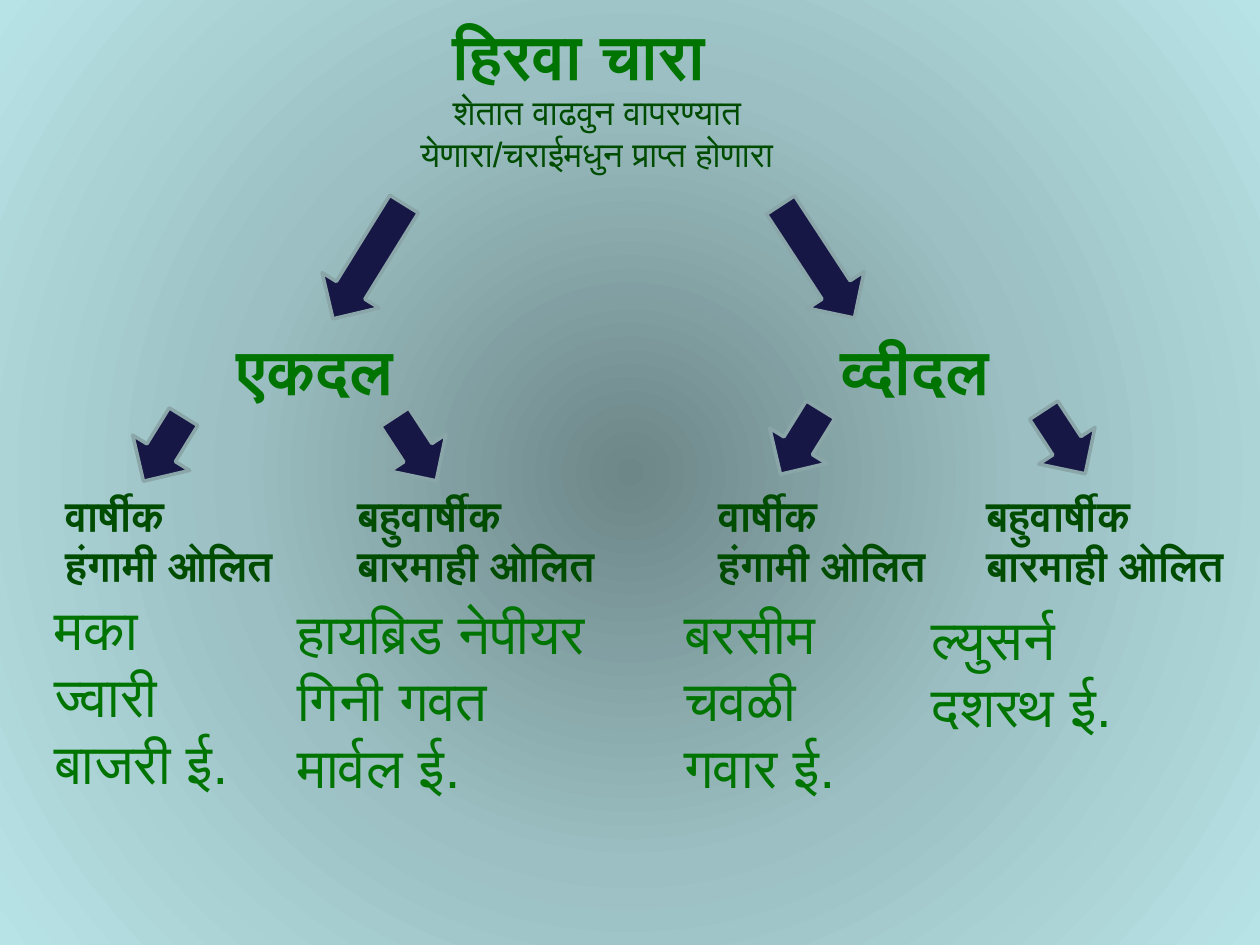
from dataclasses import dataclass

from lxml import etree
from pptx import Presentation
from pptx.dml.color import RGBColor
from pptx.enum.shapes import MSO_SHAPE as Preset
from pptx.enum.text import MSO_AUTO_SIZE as AutoSize, PP_ALIGN as Align
from pptx.oxml import parse_xml
from pptx.oxml.ns import nsdecls, qn
from pptx.util import Emu, Pt


@dataclass(frozen=True)
class Theme:
    font: str = "Arial"
    bright: str = "007400"
    dark: str = "004C00"
    arrow: str = "171745"
    outline: str = "8AA6A8"
    gradient: tuple = ((0, "6D8688"), (50, "9BBFC2"), (100, "B8E3E6"))
    heading: int = 36
    item: int = 32
    group: int = 24
    note: int = 20


THEME = Theme()
EMU_PER_PX = 914400 / 126
LIST_INDENT = 48

# Content: boxes are left, top, width, height in px
TITLE = ("हिरवा चारा", (440, 10, 294, 89))
NOTE = ("शेतात वाढवुन वापरण्यात येणारा/चराईमधुन प्राप्त होणारा", (408, 84, 378, 140))
BRANCHES = [("एकदल", (224, 325, 197, 89)), ("व्दीदल", (828, 325, 189, 89))]

ANNUAL = (["वार्षीक", "हंगामी ओलित"], 260)
PERENNIAL = (["बहुवार्षीक", "बारमाही ओलित"], 286)
GROUP_TOP, GROUP_HEIGHT = 483, 115
GROUPS = [
    # kind, left, crops, crop list box
    (ANNUAL, 53, ["मका", "ज्वारी", "बाजरी ई."], (42, 588, 271, 217)),
    (PERENNIAL, 345, ["हायब्रिड नेपीयर", "गिनी गवत", "मार्वल ई."], (285, 592, 408, 217)),
    (ANNUAL, 706, ["बरसीम", "चवळी", "गवार ई."], (672, 592, 251, 217)),
    (PERENNIAL, 974, ["ल्युसर्न", "दशरथ ई."], (919, 598, 276, 149)),
]

TO_LEFT, TO_RIGHT = 31.8, 326.8
ARROW_WIDTH, LONG, SHORT = 67, 135, 76
ARROWS = [
    # left, top, length, rotation
    (335, 194, LONG, TO_LEFT), (784, 194, LONG, TO_RIGHT),
    (130, 411, SHORT, TO_LEFT), (382, 411, SHORT, TO_RIGHT),
    (767, 404, SHORT, TO_LEFT), (1031, 404, SHORT, TO_RIGHT),
]


def px(value):
    return Emu(round(value * EMU_PER_PX))


def add_text(slide, text, box, *, size, color, bold=False, align=Align.LEFT,
             wrap=False, numbered=False):
    shape = slide.shapes.add_textbox(*map(px, box))
    frame = shape.text_frame
    frame.word_wrap = wrap
    frame.auto_size = AutoSize.SHAPE_TO_FIT_TEXT
    lines = [text] if isinstance(text, str) else text
    for index, line in enumerate(lines):
        paragraph = frame.add_paragraph() if index else frame.paragraphs[0]
        paragraph.alignment = align
        if numbered:
            properties = paragraph._p.get_or_add_pPr()
            properties.set("marL", str(px(LIST_INDENT)))
            properties.set("indent", str(-px(LIST_INDENT)))
            etree.SubElement(properties, qn("a:buAutoNum"), type="hindiNumParenR")
        run = paragraph.add_run()
        run.text = line
        run.font.name = THEME.font
        run.font.size = Pt(size)
        run.font.bold = bold
        run.font.color.rgb = RGBColor.from_string(color)
        # Devanagari takes the complex-script font
        etree.SubElement(run._r.get_or_add_rPr(), qn("a:cs"), typeface=THEME.font)
    return shape


def add_arrow(slide, left, top, length, rotation):
    shape = slide.shapes.add_shape(
        Preset.DOWN_ARROW, *map(px, (left, top, ARROW_WIDTH, length)))
    shape.rotation = rotation
    shape.shadow.inherit = False
    shape.fill.solid()
    shape.fill.fore_color.rgb = RGBColor.from_string(THEME.arrow)
    shape.line.color.rgb = RGBColor.from_string(THEME.outline)
    shape.line.width = Pt(2)


def set_background(slide):
    stops = "".join(
        f'<a:gs pos="{position * 1000}"><a:srgbClr val="{color}"/></a:gs>'
        for position, color in THEME.gradient)
    background = parse_xml(
        f'<p:bg {nsdecls("p", "a")}><p:bgPr><a:gradFill rotWithShape="1">'
        f'<a:gsLst>{stops}</a:gsLst><a:path path="circle">'
        '<a:fillToRect l="50000" t="50000" r="50000" b="50000"/></a:path>'
        '</a:gradFill><a:effectLst/></p:bgPr></p:bg>')
    slide._element.cSld.insert(0, background)


def main():
    presentation = Presentation()
    presentation.slide_width, presentation.slide_height = px(1260), px(945)
    slide = presentation.slides.add_slide(presentation.slide_layouts[6])
    set_background(slide)

    # Title and explanation
    add_text(slide, *TITLE, size=THEME.heading, color=THEME.bright, bold=True, wrap=True)
    add_text(slide, *NOTE, size=THEME.note, color=THEME.dark, align=Align.CENTER, wrap=True)

    # Arrows between the levels
    for arrow in ARROWS:
        add_arrow(slide, *arrow)

    # Two branches, each with two groups of crops
    for name, box in BRANCHES:
        add_text(slide, name, box, size=THEME.heading, color=THEME.bright, bold=True)
    for (heading, width), left, crops, crop_box in GROUPS:
        add_text(slide, heading, (left, GROUP_TOP, width, GROUP_HEIGHT),
                 size=THEME.group, color=THEME.dark, bold=True)
        add_text(slide, crops, crop_box, size=THEME.item, color=THEME.bright, numbered=True)

    presentation.save("out.pptx")


if __name__ == "__main__":
    main()
